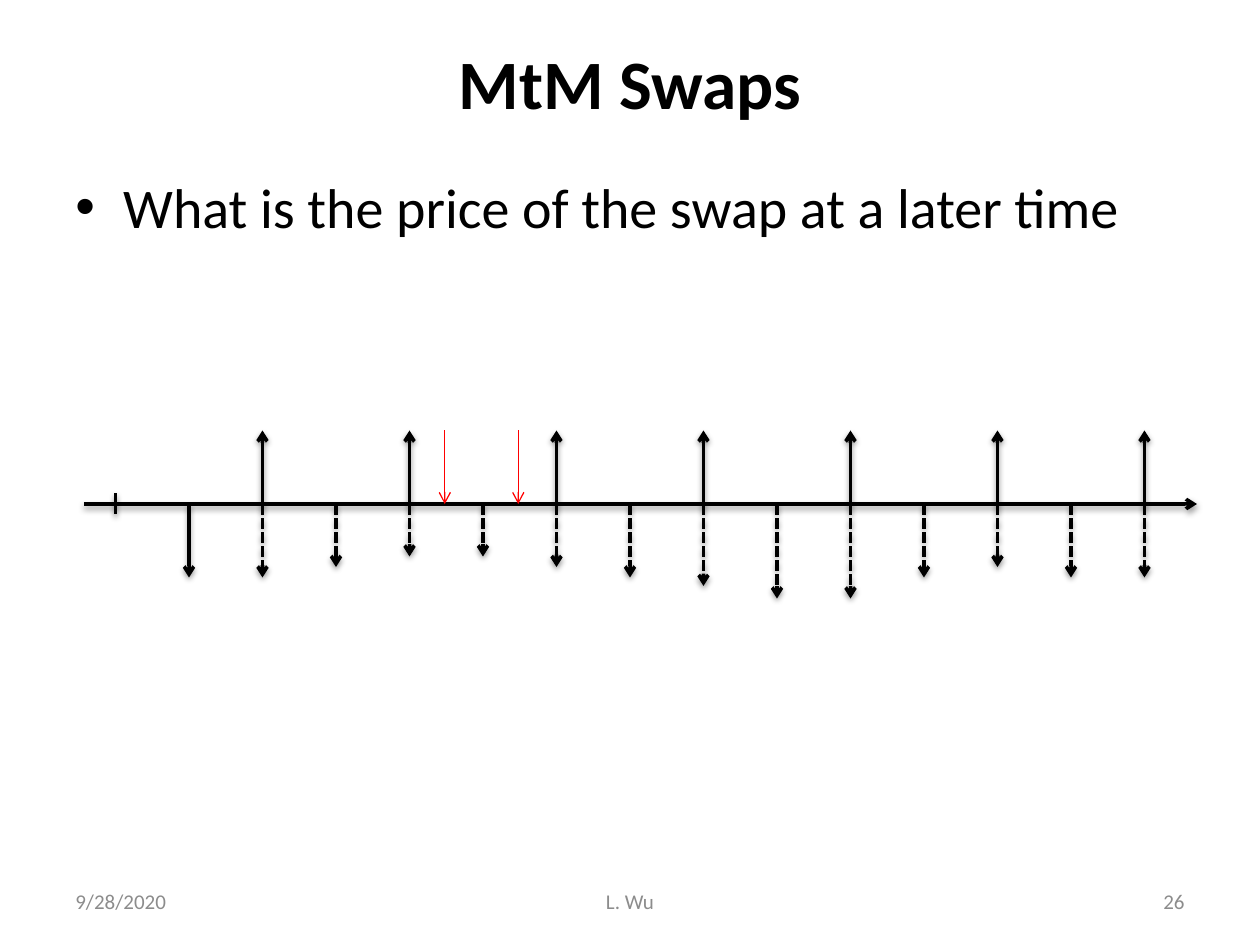
import pptx
import pptx.util
import pptx.dml.color
import pptx.enum.dml
import pptx.enum.shapes
import pptx.enum.text
import pptx.oxml
import pptx.oxml.ns

In, Pt = pptx.util.Inches, pptx.util.Pt
ALIGN = pptx.enum.text.PP_ALIGN
ANCHOR = pptx.enum.text.MSO_ANCHOR
NS = pptx.oxml.ns.nsdecls("a")
SHADOW = (f'<a:effectLst {NS}><a:outerShdw blurRad="40000" dist="20000" dir="5400000" '
          'rotWithShape="0"><a:srgbClr val="000000"><a:alpha val="38000"/></a:srgbClr>'
          '</a:outerShdw></a:effectLst>')
W, H = 10, 7.5

# Cash flows: column 0 is today, lengths in twelfths of an inch
COLUMN, UNIT = 7 / 12, 1 / 12
FIXED_COLUMNS = range(2, 15, 2)
FLOATING = [7, 7, 6, 5, 5, 6, 7, 7.8, 9, 9, 7, 6, 7, 7]
VALUATION_COLUMNS = [4.48, 5.48]


def color(value):
    return pptx.dml.color.RGBColor.from_string(value)


def xml(text):
    return pptx.oxml.parse_xml(text)


def write(shape, box, text, anchor, align, **font):
    for name, value in zip(("left", "top", "width", "height"), box):
        setattr(shape, name, In(value))
    tf = shape.text_frame
    tf.word_wrap = True
    tf.vertical_anchor = anchor
    p = tf.paragraphs[0]
    p.alignment = align
    r = p.add_run()
    r.text = text
    r.font.color.rgb = color(font.pop("fill", "000000"))
    for name, value in {"name": "Calibri", **font}.items():
        setattr(r.font, name, value)
    return p


def arrow(s, x1, y1, x2, y2, line="000000", width=2, dashed=False, head=True, shadow=True):
    c = s.shapes.add_connector(pptx.enum.shapes.MSO_CONNECTOR.STRAIGHT,
                               *map(In, (x1, y1, x2, y2)))
    c.line.color.rgb = color(line)
    c.line.width = Pt(width)
    if dashed:
        c.line.dash_style = pptx.enum.dml.MSO_LINE.SQUARE_DOT
    if head:
        c.line._get_or_add_ln().append(xml(f'<a:tailEnd {NS} type="arrow"/>'))
    c._element.spPr.append(xml(SHADOW if shadow else f"<a:effectLst {NS}/>"))


def title(s, box):
    write(s.shapes.title, box, "MtM Swaps", ANCHOR.MIDDLE, ALIGN.CENTER,
          size=Pt(39.6), bold=True)


def body(s, box):
    p = write(s.shapes.add_textbox(0, 0, 0, 0), box,
              "What is the price of the swap at a later time",
              ANCHOR.TOP, ALIGN.LEFT, size=Pt(32))
    pPr = p._p.get_or_add_pPr()
    pPr.set("marL", str(In(0.38)))
    pPr.set("indent", str(In(-0.38)))
    for tag in ('<a:buFont {} typeface="Arial"/>', '<a:buChar {} char="•"/>'):
        pPr.append(xml(tag.format(NS)))


def timeline(s, left, axis, width):
    today = left + 3 * UNIT

    def at(column):
        return today + column * COLUMN

    # Time axis and today's tick
    arrow(s, left, axis, left + width, axis)
    arrow(s, today, axis - UNIT, today, axis + UNIT, head=False)
    # Fixed payments up, floating payments down (only the first is known)
    for i in FIXED_COLUMNS:
        arrow(s, at(i), axis, at(i), axis - COLUMN)
    for i, length in enumerate(FLOATING, 1):
        arrow(s, at(i), axis, at(i), axis + length * UNIT, dashed=i > 1)
    # Valuation times
    for i in VALUATION_COLUMNS:
        arrow(s, at(i), axis - COLUMN, at(i), axis, line="FF0000", width=0.75, shadow=False)


def footer(s, left, top, width, height):
    side, middle = 2.33, 3.17
    for x, w, text, align in (
            (left, side, "9/28/2020", ALIGN.LEFT),
            (left + (width - middle) / 2, middle, "L. Wu", ALIGN.CENTER),
            (left + width - side, side, "26", ALIGN.RIGHT)):
        write(s.shapes.add_textbox(0, 0, 0, 0), (x, top, w, height), text,
              ANCHOR.MIDDLE, align, size=Pt(12), fill="8C8C8C")


def main():
    prs = pptx.Presentation()
    prs.slide_width, prs.slide_height = In(W), In(H)
    s = prs.slides.add_slide(prs.slide_layouts[5])
    margin, content = 0.05 * W, 0.9 * W
    title(s, (margin, 0.04 * H, content, 0.7))
    body(s, (margin, 1.32, content, 5.37))
    footer(s, margin, 6.95, content, 0.4)
    timeline(s, 8 * UNIT, 4, 106 * UNIT)
    prs.save("out.pptx")


if __name__ == "__main__":
    main()
